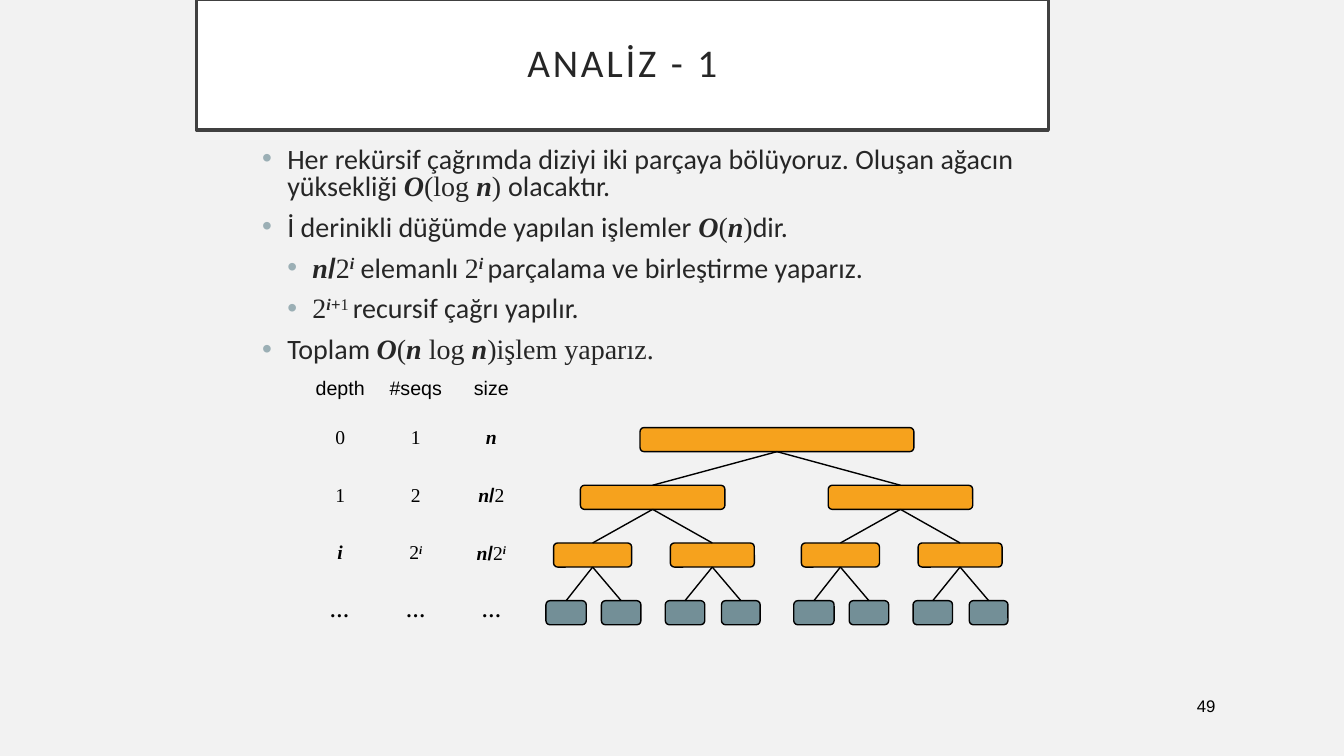
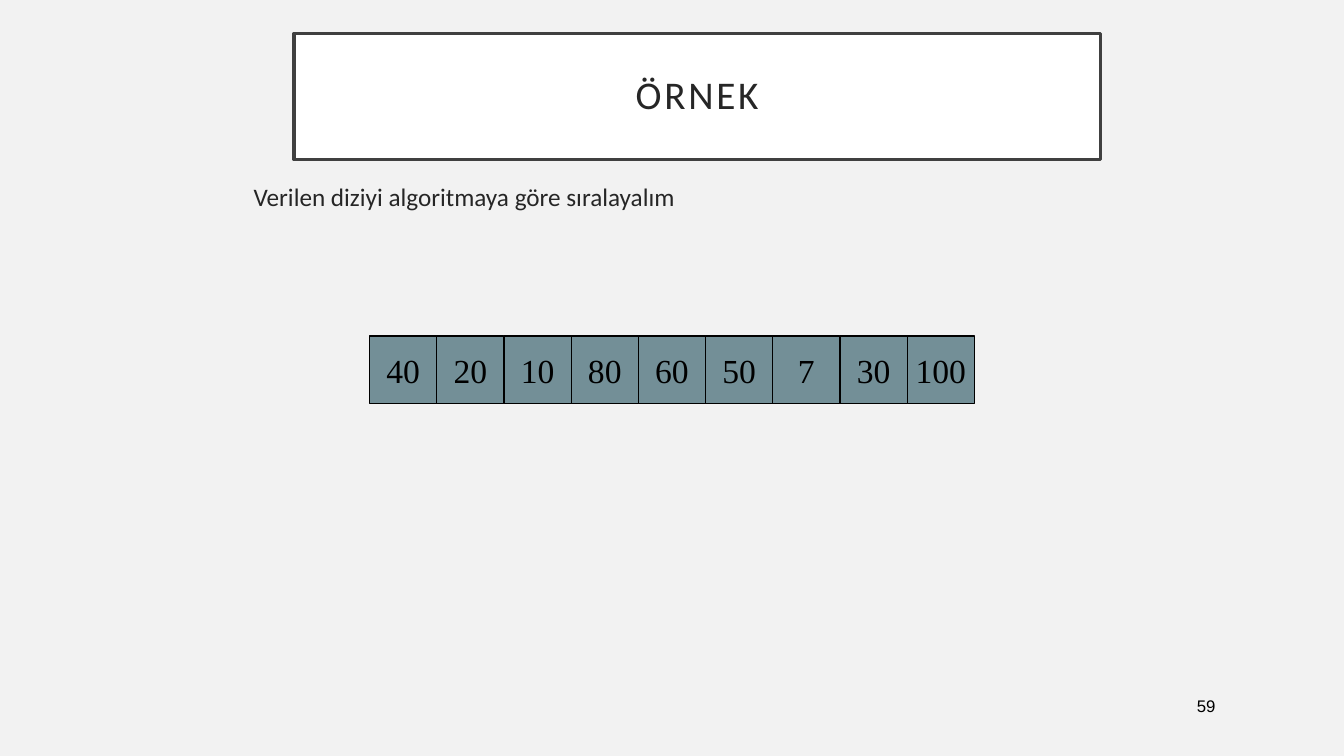
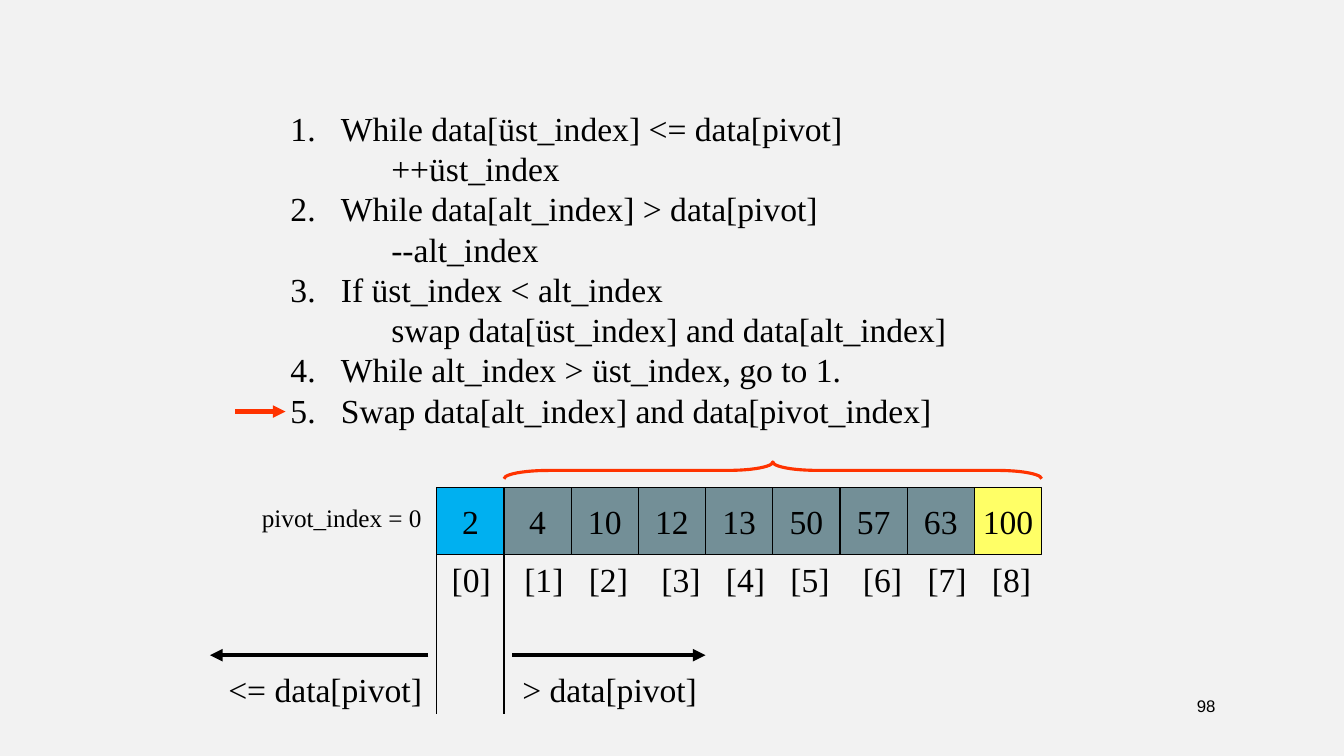
from itertools import accumulate

from lxml.etree import SubElement
from pptx import Presentation
from pptx.dml.color import RGBColor
from pptx.enum.shapes import MSO_CONNECTOR, MSO_SHAPE
from pptx.enum.text import MSO_ANCHOR, MSO_AUTO_SIZE, PP_ALIGN
from pptx.oxml.ns import qn
from pptx.util import Inches, Pt

# Grid: 160 columns by 90 rows of square units
U = Inches(1) // 12
W, H = 160 * U, 90 * U

# Shared look
rgb = RGBColor.from_string
PAPER, WHITE, BLACK, INK, FRAME = "F2F2F2", "FFFFFF", "000000", "262626", "404040"
TEAL, ORANGE, RED, BLUE, YELLOW = "738F97", "F6A21D", "FF3300", "00B0F0", "FFFF66"
BULLET = "9BAFB5"
TIMES, SANS, ARIAL = "Times New Roman", "Calibri", "Arial"
STYLES = {
    "c": dict(font=SANS),
    "a": dict(font=ARIAL),
    "t": dict(font=TIMES),
    "b": dict(font=TIMES, bold=True),
    "v": dict(font=TIMES, bold=True, italic=True),
    "/": dict(font=ARIAL, bold=True),
    "^v": dict(font=TIMES, bold=True, italic=True, sup=True),
    "^t": dict(font=TIMES, sup=True),
    "^a": dict(font=ARIAL, sup=True),
}


def write(p, text, font=TIMES, size=24, color=BLACK, bold=False, italic=False,
          sup=False, spacing=0, align=None):
    r = p.add_run()
    r.text = text
    f = r.font
    f.name, f.size, f.bold, f.italic = font, Pt(size), bold, italic
    f.color.rgb = rgb(color)
    if sup:
        r._r.get_or_add_rPr().set("baseline", "30000")
    if spacing:
        r._r.get_or_add_rPr().set("spc", str(spacing * 100))
    if align is not None:
        p.alignment = align


def draw(shape, box=None, fill=None, line=None, weight=1):
    """Place a shape on the grid and paint it, without a shadow."""
    if box:
        shape.left, shape.top, shape.width, shape.height = (round(n * U) for n in box)
    if fill:
        shape.fill.solid()
        shape.fill.fore_color.rgb = rgb(fill)
    elif hasattr(shape, "fill"):
        shape.fill.background()
    if line:
        shape.line.color.rgb = rgb(line)
        shape.line.width = Pt(weight)
    else:
        shape.line.fill.background()
    SubElement(shape._element.spPr, qn("a:effectLst"))
    return shape


prs = Presentation()
prs.slide_width, prs.slide_height = W, H
bg = prs.slide_master.background.fill
bg.solid()
bg.fore_color.rgb = rgb(PAPER)

analysis, example, partition = (
    prs.slides.add_slide(prs.slide_layouts[n]) for n in (1, 1, 6))

# Slide numbers
for s, number in ((analysis, "49"), (example, "59"), (partition, "98")):
    sp = draw(s.shapes.add_shape(MSO_SHAPE.OVAL, 0, 0, 0, 0), (141.2, 81.6, 4.8, 4.8))
    tf = sp.text_frame
    tf.margin_left = tf.margin_right = Inches(0.02)
    tf.vertical_anchor = MSO_ANCHOR.MIDDLE
    write(tf.paragraphs[0], number, font=ARIAL, size=12, align=PP_ALIGN.CENTER)

# Titles and bodies: each body line is (level, runs)
analysis_lines = [
    (0, [("c", "Her rekürsif çağrımda diziyi iki parçaya bölüyoruz. Oluşan ağacın yüksekliği "),
         ("v", "O"), ("t", "(log "), ("v", "n"), ("t", ") "), ("c", "olacaktır.")]),
    (0, [("c", "İ derinikli düğümde yapılan işlemler "), ("v", "O"), ("t", "("),
         ("v", "n"), ("t", ")"), ("c", "dir.")]),
    (1, [("v", "n"), ("/", "/"), ("t", "2"), ("^v", "i"), ("c", " elemanlı "), ("t", "2"),
         ("^v", "i "), ("c", "parçalama ve birleştirme yaparız.")]),
    (1, [("t", "2"), ("^v", "i"), ("^a", "+"), ("^t", "1 "), ("c", "recursif çağrı yapılır.")]),
    (0, [("c", "Toplam "), ("v", "O"), ("t", "("), ("v", "n"), ("t", " log "), ("v", "n"),
         ("t", ")işlem yaparız.")]),
]
example_lines = [(0, [("c", "Verilen diziyi algoritmaya göre sıralayalım")])]

for s, title, title_box, lines, body_box, size, leading, bullet in (
        (analysis, "ANALİZ - 1", (23.4, -0.1, 101.4, 15.6),
         analysis_lines, (30, 17, 104, 29), 20, 0.8, True),
        (example, "ÖRNEK", (35, 4, 96, 15),
         example_lines, (29, 21, 102, 54), 18, 1.0, False)):
    tf = draw(s.shapes.title, title_box, WHITE, FRAME, 2.5).text_frame
    tf.margin_left = tf.margin_right = tf.margin_top = tf.margin_bottom = Inches(0.2)
    tf.vertical_anchor = MSO_ANCHOR.MIDDLE
    tf.auto_size = MSO_AUTO_SIZE.NONE
    p = tf.paragraphs[0]
    p.line_spacing = 0.9
    write(p, title, font=SANS, size=28, color=INK, spacing=2, align=PP_ALIGN.CENTER)

    tf = draw(s.placeholders[1], body_box).text_frame
    tf.auto_size = MSO_AUTO_SIZE.NONE
    for i, (level, runs) in enumerate(lines):
        p = tf.add_paragraph() if i else tf.paragraphs[0]
        p.level, p.line_spacing, p.space_before = level, leading, Pt(10)
        pPr = p._p.get_or_add_pPr()
        pPr.set("marL", str(3 * U * (level + 1)))
        pPr.set("indent", str(-3 * U))
        if bullet:
            SubElement(SubElement(pPr, qn("a:buClr")), qn("a:srgbClr"), val=BULLET)
            SubElement(pPr, qn("a:buFont"), typeface=ARIAL)
            SubElement(pPr, qn("a:buChar"), char="•")
        else:
            SubElement(pPr, qn("a:buNone"))
        for style, text in runs:
            write(p, text, size=size, color=INK, **STYLES[style])

# Analysis: recursion tree, right half is the left half shifted
HALF_SHIFT, LEVEL_STEP, NODE_H = 29.5, 6.87, 2.87
left_half = [
    [(69.1, 17.2)],
    [(65.9, 9.3), (79.8, 10)],
    [(65, 4.8), (71.6, 4.7), (79.2, 4.7), (85.9, 4.6)],
]
levels = [[(76.2, 32.6)]] + [
    [(x + shift, w) for shift in (0, HALF_SHIFT) for x, w in row] for row in left_half]
parents = []
for depth, row in enumerate(levels):
    nodes = []
    for i, (x, w) in enumerate(row):
        node = draw(analysis.shapes.add_shape(MSO_SHAPE.ROUNDED_RECTANGLE, 0, 0, 0, 0),
                    (x, 50.9 + depth * LEVEL_STEP, w, NODE_H),
                    TEAL if depth == 3 else ORANGE, BLACK)
        nodes.append(node)
        if parents:
            edge = analysis.shapes.add_connector(MSO_CONNECTOR.STRAIGHT, 0, 0, 0, 0)
            edge.begin_connect(parents[i // 2], 2)
            edge.end_connect(node, 0)
            draw(edge, line=BLACK)
    parents = nodes

# Analysis: table of depths
cells = [
    [[("a", "depth")], [("a", "#seqs")], [("a", "size")]],
    [[("t", "0")], [("t", "1")], [("v", "n")]],
    [[("t", "1")], [("t", "2")], [("v", "n"), ("/", "/"), ("t", "2")]],
    [[("v", "i")], [("t", "2"), ("^v", "i")],
     [("v", "n"), ("/", "/"), ("t", "2"), ("^v", "i")]],
    [[("v", "…")], [("b", "…")], [("b", "…")]],
]
table = analysis.shapes.add_table(5, 3, 36 * U, 45 * U, 27 * U, 31 * U).table
table.first_row = table.horz_banding = False
table._tbl.tblPr.find(qn("a:tableStyleId")).text = "{2D5ABB26-0587-4C30-8999-92F81FD0307C}"
for col in table.columns:
    col.width = 9 * U
for i, row in enumerate(cells):
    table.rows[i].height = round((LEVEL_STEP if i else 3.7) * U)
    for j, runs in enumerate(row):
        cell = table.cell(i, j)
        cell.fill.background()
        cell.margin_left = cell.margin_right = cell.margin_top = cell.margin_bottom = 0
        cell.vertical_anchor = MSO_ANCHOR.MIDDLE if i else MSO_ANCHOR.TOP
        for style, text in runs:
            write(cell.text_frame.paragraphs[0], text, size=14,
                  align=PP_ALIGN.CENTER, **STYLES[style])

# Example and partition: the arrays
CELL = 8
for s, left, top, values, accents in (
        (example, 44, 40, (40, 20, 10, 80, 60, 50, 7, 30, 100), {}),
        (partition, 52, 58, (2, 4, 10, 12, 13, 50, 57, 63, 100), {0: BLUE, 8: YELLOW})):
    for i, value in enumerate(values):
        sp = draw(s.shapes.add_shape(MSO_SHAPE.RECTANGLE, 0, 0, 0, 0),
                  (left + i * CELL, top, CELL, CELL), accents.get(i, TEAL), BLACK, 0.75)
        tf = sp.text_frame
        tf.word_wrap = False
        tf.vertical_anchor = MSO_ANCHOR.MIDDLE
        write(tf.paragraphs[0], str(value), align=PP_ALIGN.CENTER)

# Partition: numbered steps, level 1 holds the action of a step
steps = [
    (0, "While data[üst_index] <= data[pivot]"), (1, "++üst_index"),
    (0, "While data[alt_index] > data[pivot]"), (1, "--alt_index"),
    (0, "If üst_index < alt_index"), (1, "swap data[üst_index] and data[alt_index]"),
    (0, "While alt_index > üst_index, go to 1."),
    (0, "Swap data[alt_index] and data[pivot_index]"),
]
tf = draw(partition.shapes.add_textbox(0, 0, 0, 0), (33.4, 12.2, 81.2, 40)).text_frame
tf.word_wrap = True
for i, (level, text) in enumerate(steps):
    p = tf.add_paragraph() if i else tf.paragraphs[0]
    p.level = level
    pPr = p._p.get_or_add_pPr()
    pPr.set("marL", str(6 * U * (level + 1)))
    pPr.set("indent", str(0 if level else -6 * U))
    if not level:
        SubElement(pPr, qn("a:buFont"), typeface=TIMES)
        SubElement(pPr, qn("a:buAutoNum"), type="arabicPeriod")
    write(p, text)

# Partition: labels
for text, box, size in (
        ("pivot_index = 0", (30, 59.2, 23, 4.8), 18),
        ("> data[pivot]", (61, 79, 25, 6), 24),
        ("<= data[pivot]", (26, 79, 27, 6), 24),
        ("\t".join(f"[{i}]" for i in range(9)), (52.6, 66, 73, 6), 24)):
    tf = draw(partition.shapes.add_textbox(0, 0, 0, 0), box).text_frame
    tf.word_wrap = True
    write(tf.paragraphs[0], text, size=size)

# Tab stops of the index row, the last label written
NARROW, WIDE = Inches(0.64), Inches(0.72)
tabs = SubElement(tf.paragraphs[0]._p.get_or_add_pPr(), qn("a:tabLst"))
for stop in accumulate((WIDE, NARROW, WIDE, NARROW, NARROW, WIDE, NARROW, NARROW)):
    SubElement(tabs, qn("a:tab"), pos=str(stop), algn="l")

# Partition: brace over the cells above the pivot
brace = draw(partition.shapes.add_shape(MSO_SHAPE.LEFT_BRACE, 0, 0, 0, 0),
             (91, 24, 2, 64), line=RED, weight=2.25)
brace.adjustments[0] = 2.67
brace.rotation = 90

# Partition: arrows and pivot borders
for x1, y1, x2, y2, color, weight, arrow in (
        (28, 49, 34, 49, RED, 3, True),
        (61, 78, 84, 78, BLACK, 3, True),
        (51, 78, 25, 78, BLACK, 3, True),
        (52, 58, 52, 85, BLACK, 0.75, False),
        (60, 58, 60, 85, BLACK, 0.75, False)):
    line = draw(partition.shapes.add_connector(
        MSO_CONNECTOR.STRAIGHT, x1 * U, y1 * U, x2 * U, y2 * U), line=color, weight=weight)
    if arrow:
        SubElement(line.line._get_or_add_ln(), qn("a:tailEnd"), type="triangle")

prs.save("out.pptx")
